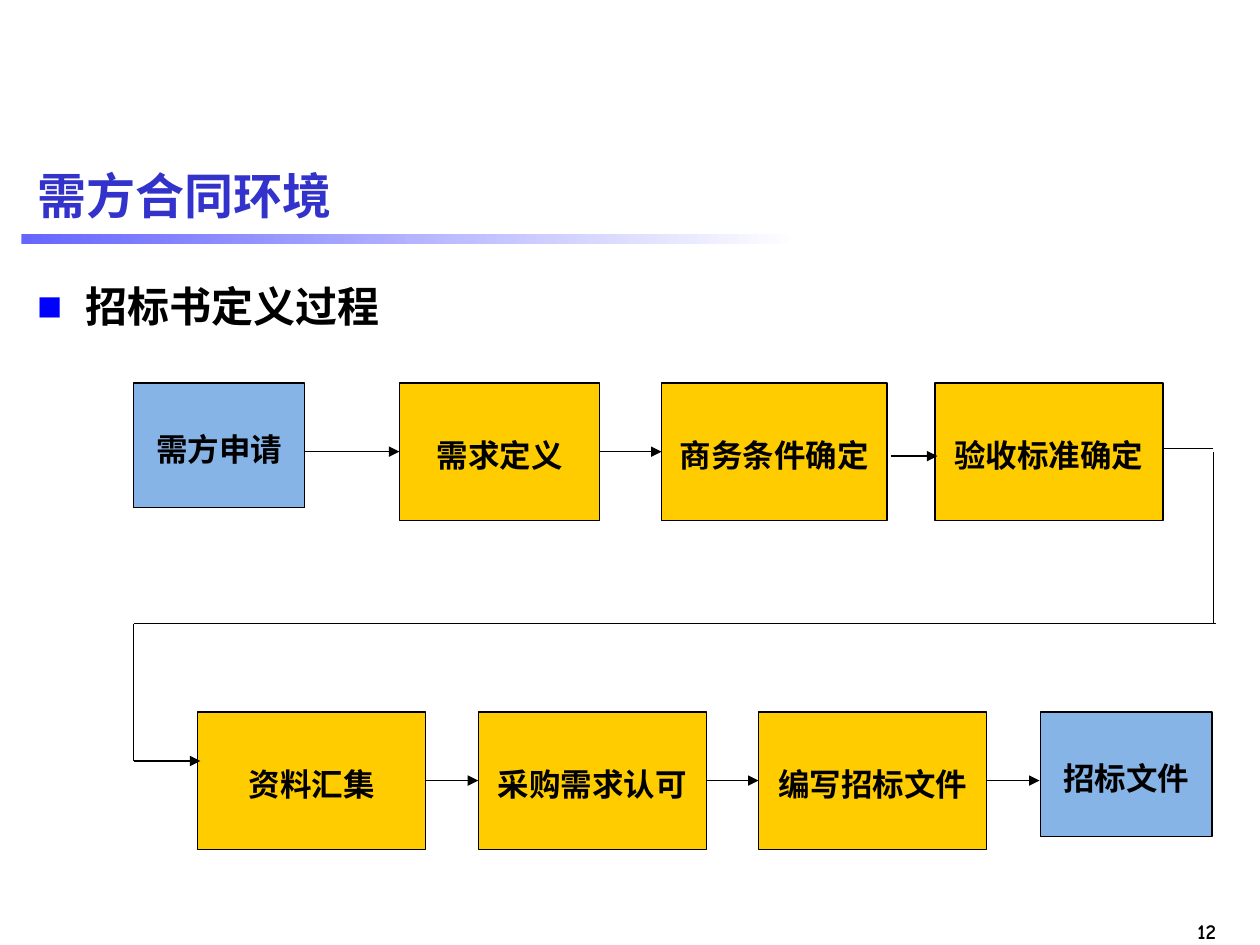
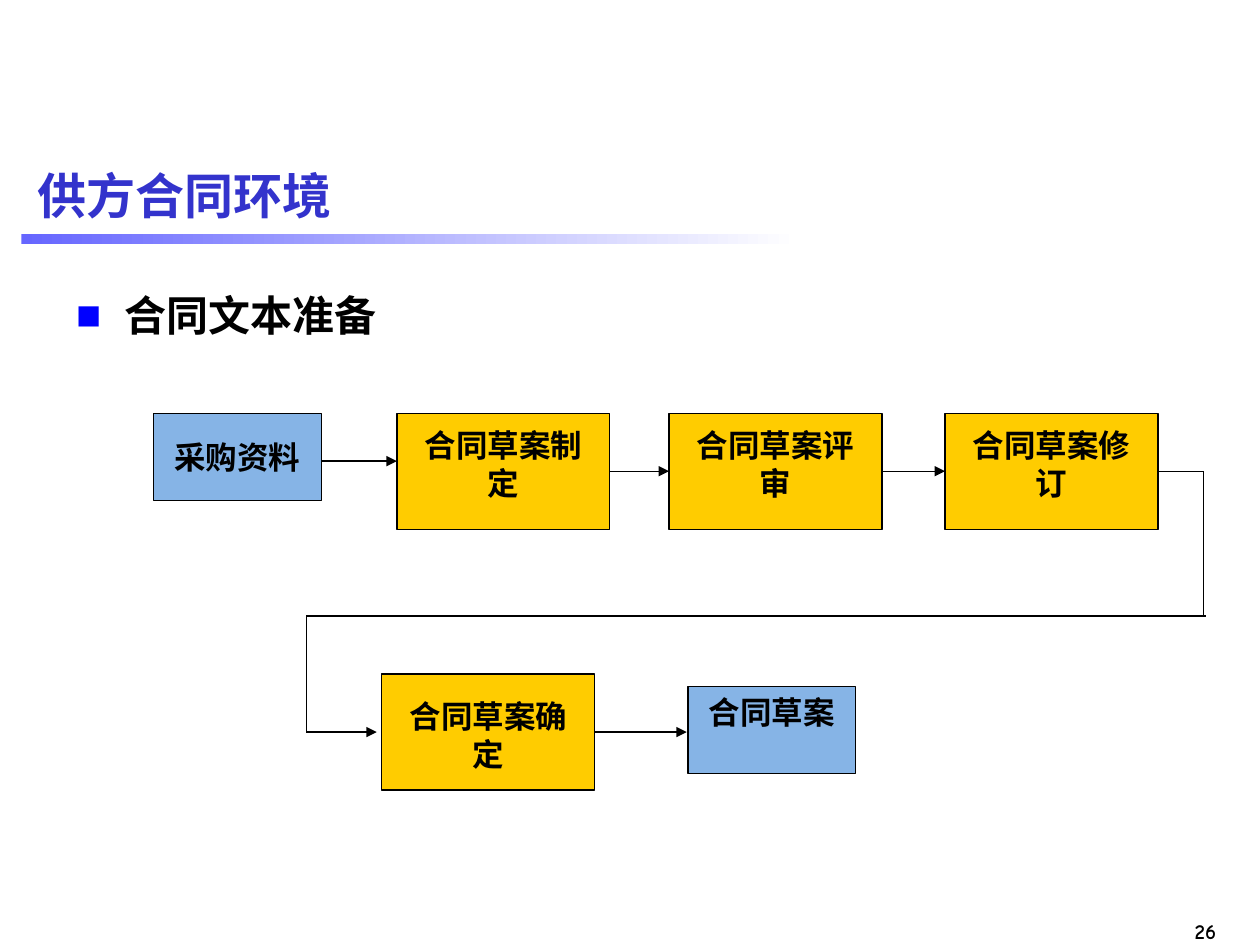
from dataclasses import dataclass
from lxml.etree import SubElement
from pptx import Presentation
from pptx.dml.color import RGBColor as Color
from pptx.enum.shapes import MSO_CONNECTOR as Connector, MSO_SHAPE as Shape
from pptx.enum.text import MSO_ANCHOR as Anchor, MSO_AUTO_SIZE as AutoSize, PP_ALIGN as Align
from pptx.oxml.ns import qn
from pptx.util import Inches, Pt

COLUMNS, ROWS = 100, 75
LEFT, RIGHT = 1, 3


@dataclass(frozen=True)
class Theme:
    title: str = "3333CC"
    ink: str = "000000"
    bullet: str = "0000FF"
    band_start: str = "6666FF"
    band_end: str = "FFFFFF"
    document: str = "86B4E6"
    step: str = "FFCC00"
    title_font: str = "Arial"
    body_font: str = "Noto Sans CJK SC"
    box_font: str = "Times New Roman"
    number_font: str = "Comic Neue"
    title_size: float = 28
    body_size: float = 24
    box_size: float = 18
    number_size: float = 12
    line_width: float = 0.75


class FlowDeck:
    def __init__(self, theme):
        self.theme = theme
        self.deck = Presentation()
        self.deck.slide_width, self.deck.slide_height = Inches(10), Inches(7.5)
        self.page = None

    def point(self, column, row):
        return (round(self.deck.slide_width * column / COLUMNS),
                round(self.deck.slide_height * row / ROWS))

    def area(self, column, row, width, height):
        return *self.point(column, row), *self.point(width, height)

    def add_span(self, para, text, font, size, color):
        span = para.add_run()
        span.text = text
        span.font.name, span.font.size, span.font.bold = font, Pt(size), True
        span.font.color.rgb = Color.from_string(color)
        SubElement(span._r.get_or_add_rPr(), qn("a:ea"), typeface=self.theme.body_font)

    def fill_placeholder(self, placeholder, area, anchor):
        placeholder.left, placeholder.top, placeholder.width, placeholder.height = self.area(*area)
        frame = placeholder.text_frame
        frame.auto_size, frame.vertical_anchor = AutoSize.NONE, anchor
        para = frame.paragraphs[0]
        para.alignment, para.space_before = Align.LEFT, Pt(0)
        properties = para._p.get_or_add_pPr()
        properties.set("marL", str(Inches(0.38)))
        properties.set("indent", str(-Inches(0.38)))
        return para

    def open_page(self, title, number):
        theme = self.theme
        self.page = self.deck.slides.add_slide(self.deck.slide_layouts[1])
        para = self.fill_placeholder(self.page.shapes.title, (2, 11.5, 96.1, 7.9), Anchor.MIDDLE)
        self.add_span(para, title, theme.title_font, theme.title_size, theme.title)
        self.band(1.7, 18.6, 61.7, 0.8)
        self.page_number(number)

    def band(self, *area):
        band = self.page.shapes.add_shape(Shape.RECTANGLE, *self.area(*area))
        band.shadow.inherit = False
        band.line.fill.background()
        band.fill.gradient()
        band.fill.gradient_angle = 0
        ends = (self.theme.band_start, self.theme.band_end)
        for stop, color in zip(band.fill.gradient_stops, ends):
            stop.color.rgb = Color.from_string(color)

    def page_number(self, number):
        theme = self.theme
        box = self.page.shapes.add_textbox(*self.area(92, 72.4, 5.5, 3))
        box.text_frame.word_wrap = True
        para = box.text_frame.paragraphs[0]
        para.alignment = Align.RIGHT
        self.add_span(para, str(number), theme.number_font, theme.number_size, theme.ink)

    def topic(self, text, *area):
        theme = self.theme
        para = self.fill_placeholder(self.page.placeholders[1], area, Anchor.TOP)
        properties = para._p.get_or_add_pPr()
        SubElement(SubElement(properties, qn("a:buClr")), qn("a:srgbClr"), val=theme.bullet)
        SubElement(properties, qn("a:buSzPct"), val="60000")
        SubElement(properties, qn("a:buFont"), typeface=theme.body_font)
        SubElement(properties, qn("a:buChar"), char="■")
        self.add_span(para, text, theme.body_font, theme.body_size, theme.ink)

    def box(self, text, color, area, anchor=Anchor.MIDDLE, inset_top=0.1):
        theme = self.theme
        box = self.page.shapes.add_shape(Shape.RECTANGLE, *self.area(*area))
        box.shadow.inherit = False
        box.fill.solid()
        box.fill.fore_color.rgb = Color.from_string(color)
        box.line.color.rgb = Color.from_string(theme.ink)
        box.line.width = Pt(theme.line_width)
        frame = box.text_frame
        frame.word_wrap, frame.vertical_anchor = True, anchor
        frame.margin_top = Inches(inset_top)
        para = frame.paragraphs[0]
        para.alignment = Align.CENTER
        self.add_span(para, text, theme.box_font, theme.box_size, theme.ink)
        return box

    def line(self, start, end, source=None, target=None, arrow=False):
        link = self.page.shapes.add_connector(
            Connector.STRAIGHT, *self.point(*start), *self.point(*end))
        if source is not None:
            link.begin_connect(source, RIGHT)
        if target is not None:
            link.end_connect(target, LEFT)
        link.line.color.rgb = Color.from_string(self.theme.ink)
        link.line.width = Pt(self.theme.line_width)
        properties = link.element.spPr
        if arrow:
            SubElement(properties.find(qn("a:ln")), qn("a:tailEnd"), type="triangle")
        SubElement(properties, qn("a:effectLst"))

    def arrow(self, start, end, source=None, target=None):
        self.line(start, end, source, target, arrow=True)

    def save(self):
        self.deck.save("out.pptx")


def add_buyer_page(flow):
    theme = flow.theme
    flow.open_page("需方合同环境", 12)
    flow.topic("招标书定义过程", 2, 21.8, 96.1, 53.2)

    flow.box("需方申请", theme.document, (10.6, 30.4, 13.6, 9.9))
    needs, terms, _ = [
        flow.box(text, theme.step, (column, 30.4, width, 10.9))
        for text, column, width in (("需求定义", 31.7, 15.9),
                                    ("商务条件确定", 52.5, 17.9),
                                    ("验收标准确定", 74.2, 18.1))]
    collect, approve, compose = [
        flow.box(text, theme.step, (15.7 + 22.25 * index, 56.5, 18.1, 10.9))
        for index, text in enumerate(("资料汇集", "采购需求认可", "编写招标文件"))]
    flow.box("招标文件", theme.document, (82.6, 56.5, 13.6, 9.9))

    flow.line((96.3, 35.9), (96.3, 49.5))
    flow.line((96.5, 49.5), (10.6, 49.5))
    flow.line((10.6, 49.5), (10.6, 60.4))
    flow.arrow((10.6, 60.4), (15.9, 60.4))
    flow.arrow((24.2, 35.85), (31.7, 35.85), target=needs)
    flow.arrow((47.6, 35.85), (52.5, 35.85), needs, terms)
    flow.arrow((70.7, 36.2), (74.4, 36.2))
    flow.arrow((33.8, 61.95), (37.95, 61.95), collect, approve)
    flow.arrow((56.05, 61.95), (60.2, 61.95), approve, compose)
    flow.arrow((78.3, 61.95), (82.5, 61.95), compose)
    flow.line((92.4, 35.6), (96.3, 35.6))


def add_supplier_page(flow):
    theme = flow.theme
    flow.open_page("供方合同环境", 26)
    flow.topic("合同文本准备", 5.1, 22.5, 92.9, 52.5)

    flow.box("采购资料", theme.document, (12.2, 32.8, 13.3, 6.9), inset_top=0.05)
    draft, review, revise = [
        flow.box(text, theme.step, (column, 32.8, 16.9, 9.2), Anchor.TOP)
        for text, column in (("合同草案制定", 31.5),
                             ("合同草案评审", 53.1),
                             ("合同草案修订", 75))]
    confirm = flow.box("合同草案确定", theme.step, (30.3, 53.5, 16.9, 9.2))
    flow.box("合同草案", theme.document, (54.6, 54.5, 13.3, 6.9), Anchor.TOP, 0.05)

    flow.arrow((25.5, 36.6), (31.5, 36.6))
    flow.arrow((48.4, 37.4), (53.1, 37.4), draft, review)
    flow.arrow((70, 37.4), (75, 37.4), review, revise)
    flow.line((91.9, 37.4), (95.5, 37.4), revise)
    flow.line((95.5, 37.4), (95.5, 48.9))
    flow.line((95.7, 48.9), (24.3, 48.9))
    flow.line((24.3, 48.9), (24.3, 58.1))
    flow.arrow((24.3, 58.1), (29.9, 58.1))
    flow.arrow((47.2, 58.1), (54.5, 58.1), confirm)


def main():
    flow = FlowDeck(Theme())
    add_buyer_page(flow)
    add_supplier_page(flow)
    flow.save()


if __name__ == "__main__":
    main()
